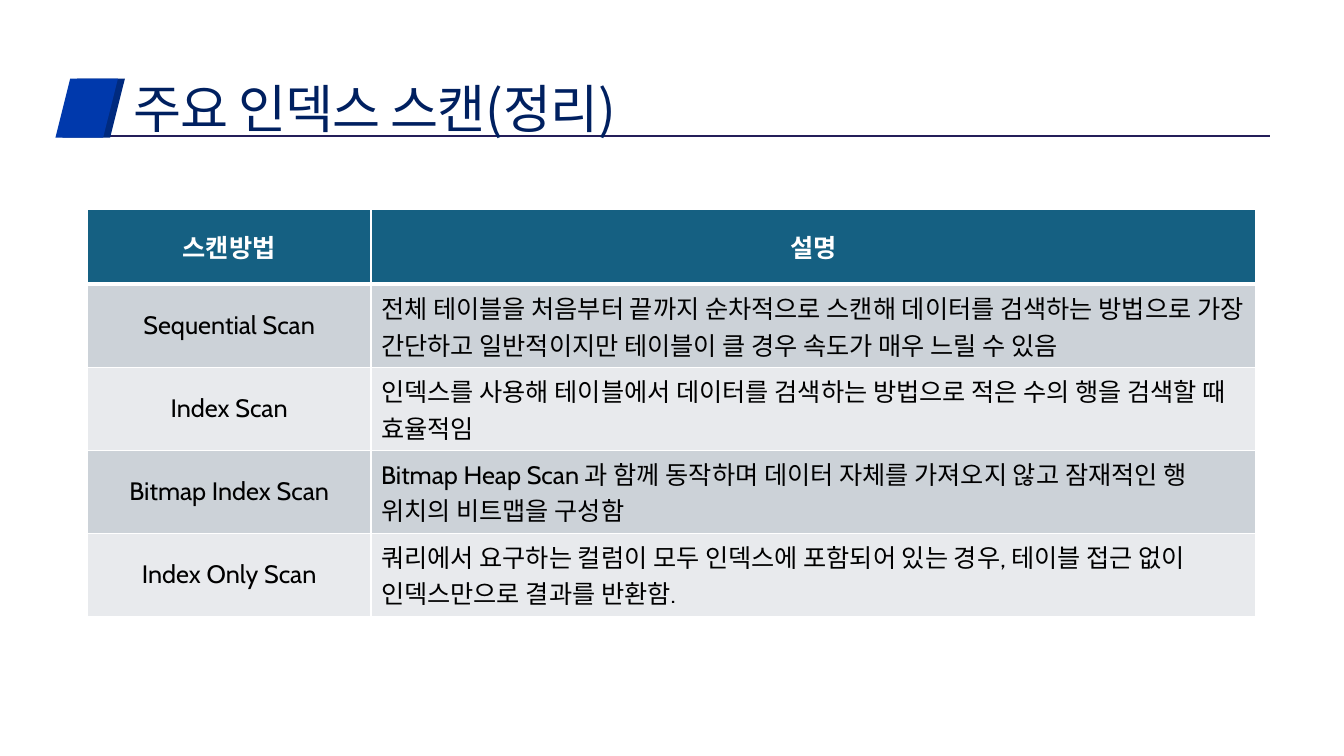
from dataclasses import dataclass

from lxml import etree
from pptx import Presentation
from pptx.dml.color import RGBColor
from pptx.enum.shapes import MSO_CONNECTOR, MSO_SHAPE
from pptx.enum.text import MSO_ANCHOR, PP_ALIGN
from pptx.oxml.ns import qn
from pptx.util import Emu, Inches, Pt

STRAIGHT = MSO_CONNECTOR.STRAIGHT
PARALLELOGRAM = MSO_SHAPE.PARALLELOGRAM
MIDDLE = MSO_ANCHOR.MIDDLE
LEFT, CENTER = PP_ALIGN.LEFT, PP_ALIGN.CENTER

SLIDE_WIDTH, SLIDE_HEIGHT = Inches(13.33), Inches(7.5)
TABLE_FONT, TITLE_FONT = "Cabin", "Noto Sans CJK KR"
WHITE, BLACK = "FFFFFF", "000000"
HEADER_FILL = "156082"
BAND_FILLS = ("CCD2D8", "E8EAED")

# Table grid, in percent of the slide
COLUMN_SHARES = (21.1, 65.85)
HEADER_SHARE, SCAN_SHARE = 9.87, 10.98


@dataclass
class Band:
    """A slanted title mark; left is in percent of the slide width."""
    left: float
    color: str


@dataclass
class ScanRow:
    method: str
    description: str


TITLE_BANDS = (Band(4.65, "002A7E"), Band(4.13, "0039AC"))
HEADER = ScanRow("스캔방법", "설명")
SCANS = (
    ScanRow("Sequential Scan",
            "전체 테이블을 처음부터 끝까지 순차적으로 스캔해 데이터를 검색하는 방법으로 "
            "가장 간단하고 일반적이지만 테이블이 클 경우 속도가 매우 느릴 수 있음"),
    ScanRow("Index Scan",
            "인덱스를 사용해 테이블에서 데이터를 검색하는 방법으로 적은 수의 행을 검색할 때 효율적임"),
    ScanRow("Bitmap Index Scan",
            "Bitmap Heap Scan 과 함께 동작하며 데이터 자체를 가져오지 않고 "
            "잠재적인 행 위치의 비트맵을 구성함"),
    ScanRow("Index Only Scan",
            "쿼리에서 요구하는 컬럼이 모두 인덱스에 포함되어 있는 경우, "
            "테이블 접근 없이 인덱스만으로 결과를 반환함."),
)


def across(percent: float) -> Emu:
    return Emu(round(SLIDE_WIDTH * percent / 100))


def down(percent: float) -> Emu:
    return Emu(round(SLIDE_HEIGHT * percent / 100))


def rgb(color: str) -> RGBColor:
    return RGBColor.from_string(color)


def apply_format(target, values: dict) -> None:
    for attribute, value in values.items():
        setattr(target, attribute, value)


def write_run(paragraph, text: str, color: str, font_format: dict):
    run = paragraph.add_run()
    run.text = text
    apply_format(run.font, font_format)
    run.font.color.rgb = rgb(color)
    return run.font._element


def draw_title(slide) -> None:
    # Underline
    underline = slide.shapes.add_connector(
        STRAIGHT, across(5.85), down(18), across(94.52), down(18))
    underline.line.color.rgb = rgb("241E59")
    underline.line.width = Pt(1.5)
    etree.SubElement(underline._element.spPr, qn("a:effectLst"))

    # Slanted marks
    for band in TITLE_BANDS:
        mark = slide.shapes.add_shape(
            PARALLELOGRAM, across(band.left), down(10.4), across(4.65), down(7.8))
        mark.shadow.inherit = False
        mark.fill.solid()
        mark.fill.fore_color.rgb = rgb(band.color)
        mark.line.fill.background()

    # Heading
    heading = slide.shapes.add_textbox(
        across(9.32), down(10.27), across(85.07), down(7.87)).text_frame
    inset = Inches(0.08)
    apply_format(heading, {"word_wrap": True, "vertical_anchor": MIDDLE,
                           "margin_left": inset, "margin_top": inset,
                           "margin_right": inset, "margin_bottom": 0})
    paragraph = heading.paragraphs[0]
    paragraph.line_spacing = 0.9
    properties = write_run(paragraph, "주요 인덱스 스캔(정리)", "002060",
                           {"name": TITLE_FONT, "size": Pt(37.3)})
    properties.set("spc", "-70")


def draw_borders(cell, top: float, bottom: float) -> None:
    cell_properties = cell._tc.get_or_add_tcPr()
    for side, points in {"L": 1, "R": 1, "T": top, "B": bottom}.items():
        border = etree.SubElement(cell_properties, qn(f"a:ln{side}"), w=str(Pt(points)))
        fill = etree.SubElement(border, qn("a:solidFill"))
        etree.SubElement(fill, qn("a:srgbClr"), val=WHITE)


def draw_scan_table(slide) -> None:
    rows = (HEADER, *SCANS)
    row_shares = (HEADER_SHARE, *(SCAN_SHARE for _ in SCANS))
    table = slide.shapes.add_table(
        len(rows), len(COLUMN_SHARES), across(6.5), down(27.73),
        across(sum(COLUMN_SHARES)), down(sum(row_shares))).table
    table.horz_banding = False
    for column, share in zip(table.columns, COLUMN_SHARES):
        column.width = across(share)
    for row, share in zip(table.rows, row_shares):
        row.height = down(share)

    for row_index, scan in enumerate(rows):
        is_header = row_index == 0
        fill = HEADER_FILL if is_header else BAND_FILLS[(row_index - 1) % 2]
        for column_index, text in enumerate((scan.method, scan.description)):
            cell = table.cell(row_index, column_index)
            draw_borders(cell, 3 if row_index == 1 else 1, 3 if is_header else 1)
            cell.fill.solid()
            cell.fill.fore_color.rgb = rgb(fill)
            cell.vertical_anchor = MIDDLE
            paragraph = cell.text_frame.paragraphs[0]
            paragraph.alignment = CENTER if is_header or column_index == 0 else LEFT
            write_run(paragraph, text, WHITE if is_header else BLACK,
                      {"name": TABLE_FONT, "size": Pt(18), "bold": is_header})


def main() -> None:
    presentation = Presentation()
    apply_format(presentation, {"slide_width": SLIDE_WIDTH, "slide_height": SLIDE_HEIGHT})
    slide = presentation.slides.add_slide(presentation.slide_layouts[6])
    draw_title(slide)
    draw_scan_table(slide)
    presentation.save("out.pptx")


if __name__ == "__main__":
    main()
